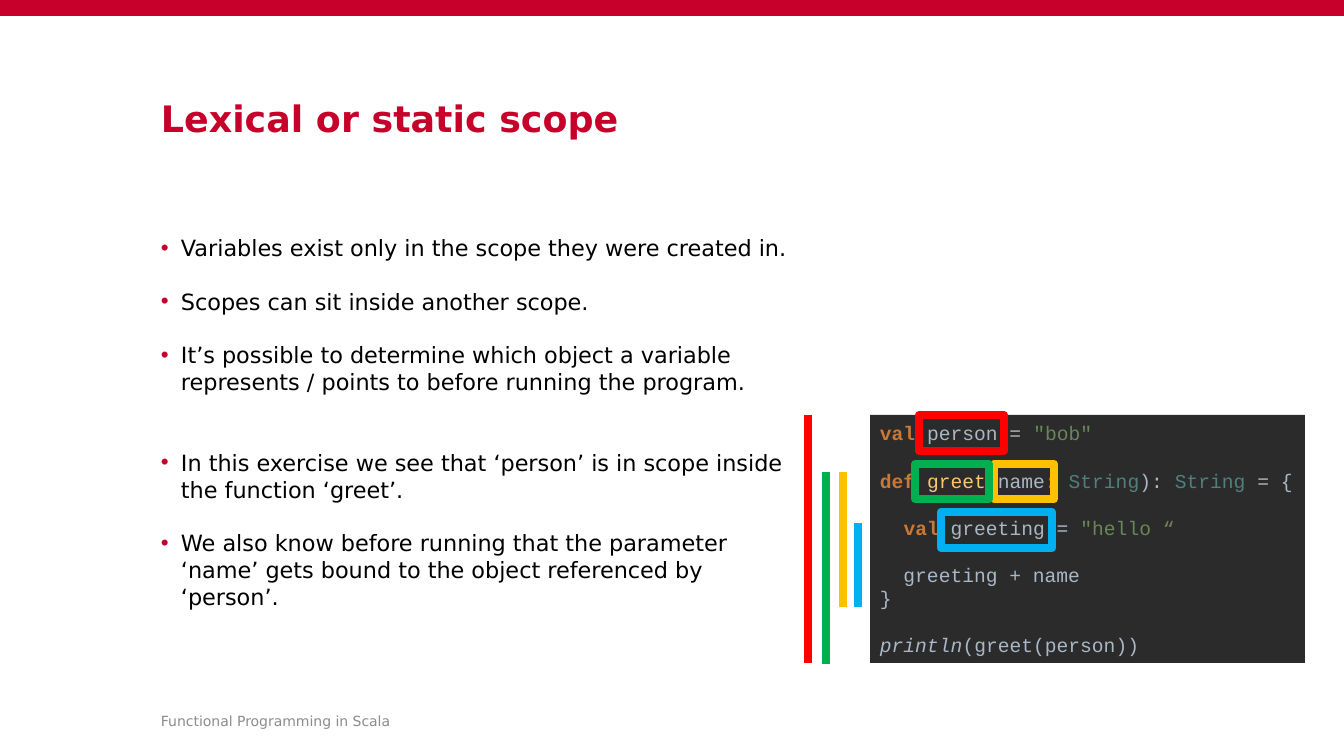
from pptx import Presentation, util as u
from pptx.dml.color import RGBColor
from pptx.enum import shapes, text
from lxml import etree

COLORS = {
    "brand": "C7002B", "black": "000000", "gray": "8C8C8C", "panel": "2B2B2B",
    "keyword": "CC7832", "plain": "A9B7C6", "string": "6A8759",
    "function": "FFC66D", "type": "4E807D",
    "red": "FF0000", "green": "00B050", "yellow": "FFC000", "blue": "00B0F0",
}
SANS, MONO = "DejaVu Sans", "Courier New"

TITLE = "Lexical or static scope"
FOOTER = "Functional Programming in Scala"
BULLETS = [
    (0, "Variables exist only in the scope they were created in."),
    (1, "Scopes can sit inside another scope."),
    (1, "It’s possible to determine which object a variable represents / points to before running the program."),
    (2, "In this exercise we see that ‘person’ is in scope inside the function ‘greet’."),
    (1, "We also know before running that the parameter ‘name’ gets bound to the object referenced by ‘person’."),
]
CODE = [
    (0, [("val ", "keyword"), ("person = ", "plain"), ('"bob"', "string")]),
    (1, [("def ", "keyword"), ("greet", "function"), ("(name: ", "plain"), ("String", "type"),
         ("): ", "plain"), ("String ", "type"), ("= {", "plain")]),
    (1, [("  ", "plain"), ("val ", "keyword"), ("greeting = ", "plain"), ('"hello “', "string")]),
    (1, [("  greeting + name", "plain")]),
    (0, [("}", "plain")]),
    (1, [("println", "call"), ("(greet(person))", "plain")]),
]
BAR = (0, 0, 1344, 16)
TITLE_BOX = (161, 101, 751, 39)
BODY_BOX = (161, 234, 629, 427)
FOOTER_BOX = (161, 705, 669, 31)
CODE_BOX = (870, 415, 435, 248)
FRAMES = [
    ("red", (919, 415, 85, 36)),
    ("blue", (941, 512, 111, 36)),
    ("yellow", (994, 464, 60, 35)),
    ("green", (915, 464, 74, 35)),
]
SCOPES = [
    ("red", 808, 415, 663),
    ("green", 826, 472, 664),
    ("yellow", 843, 472, 607),
    ("blue", 858, 523, 607),
]

SCALE = 914400 / 100.8
BODY_LINE, CODE_LINE, INDENT = 19.2, 16.8, 20
A = "{http://schemas.openxmlformats.org/drawingml/2006/main}"


def px(n):
    return u.Emu(round(n * SCALE))


def color(name):
    return RGBColor.from_string(COLORS[name])


def setup(obj, **values):
    for name, value in values.items():
        setattr(obj, name, value)


def add_run(p, words, hue, font, size, **style):
    r = p.add_run()
    r.text = words
    setup(r.font, name=font, size=u.Pt(size), **style)
    r.font.color.rgb = color(hue)


def add_text(slide, box, anchor=text.MSO_ANCHOR.TOP):
    tf = slide.shapes.add_textbox(*map(px, box)).text_frame
    setup(tf, word_wrap=True, vertical_anchor=anchor,
          margin_left=0, margin_top=0, margin_right=0, margin_bottom=0)
    return tf


def add_rect(slide, box, fill=None, line=None):
    sp = slide.shapes.add_shape(shapes.MSO_SHAPE.RECTANGLE, *map(px, box))
    sp.shadow.inherit = False
    if fill:
        sp.fill.solid()
        sp.fill.fore_color.rgb = color(fill)
    else:
        sp.fill.background()
    if line:
        sp.line.color.rgb = color(line)
        sp.line.width = u.Pt(5.75)
    else:
        sp.line.fill.background()
    return sp


def add_paragraph(tf, index, gap):
    p = tf.add_paragraph() if index else tf.paragraphs[0]
    setup(p, alignment=text.PP_ALIGN.LEFT, space_before=u.Pt(gap))
    return p


def add_bullet(p):
    ppr = p._p.get_or_add_pPr()
    ppr.set("marL", str(px(INDENT)))
    ppr.set("indent", str(-px(INDENT)))
    clr = etree.SubElement(ppr, A + "buClr")
    etree.SubElement(clr, A + "srgbClr", val=COLORS["brand"])
    etree.SubElement(ppr, A + "buFont", typeface="Arial")
    etree.SubElement(ppr, A + "buChar", char="•")


def add_code(slide):
    tf = add_rect(slide, CODE_BOX, fill="panel").text_frame
    setup(tf, word_wrap=False, vertical_anchor=text.MSO_ANCHOR.MIDDLE)
    for i, (blank, tokens) in enumerate(CODE):
        p = add_paragraph(tf, i, blank * CODE_LINE)
        for words, kind in tokens:
            hue = "plain" if kind == "call" else kind
            add_run(p, words, hue, MONO, 14, bold=kind == "keyword", italic=kind == "call")


def add_scope(slide, hue, x, top, bottom):
    c = slide.shapes.add_connector(shapes.MSO_CONNECTOR.STRAIGHT, px(x), px(top), px(x), px(bottom))
    c.line.color.rgb = color(hue)
    c.line.width = u.Pt(6)
    etree.SubElement(c._element.spPr, A + "effectLst")


def main():
    prs = Presentation()
    setup(prs, slide_width=px(1344), slide_height=px(756))
    slide = prs.slides.add_slide(prs.slide_layouts[6])

    tf = add_text(slide, FOOTER_BOX, text.MSO_ANCHOR.MIDDLE)
    add_run(tf.paragraphs[0], FOOTER, "gray", SANS, 10)
    add_rect(slide, BAR, fill="brand")
    p = add_text(slide, TITLE_BOX).paragraphs[0]
    p.line_spacing = 0.9
    add_run(p, TITLE, "brand", SANS, 26, bold=True)

    tf = add_text(slide, BODY_BOX)
    for i, (blanks, words) in enumerate(BULLETS):
        p = add_paragraph(tf, i, blanks * BODY_LINE)
        add_bullet(p)
        add_run(p, words, "black", SANS, 16)

    add_code(slide)
    for hue, box in FRAMES:
        add_rect(slide, box, line=hue)
    for scope in SCOPES:
        add_scope(slide, *scope)
    prs.save("out.pptx")


if __name__ == "__main__":
    main()
